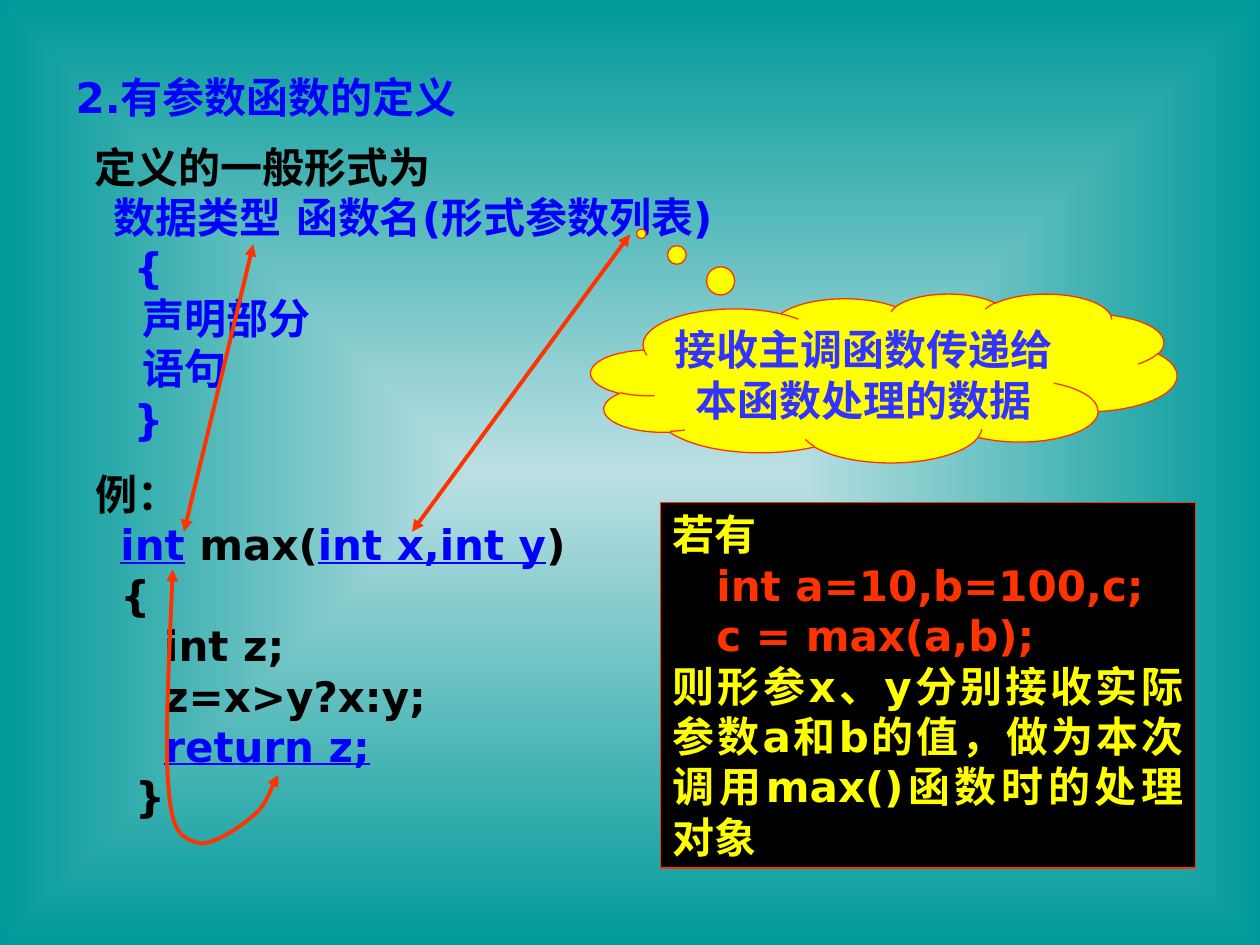
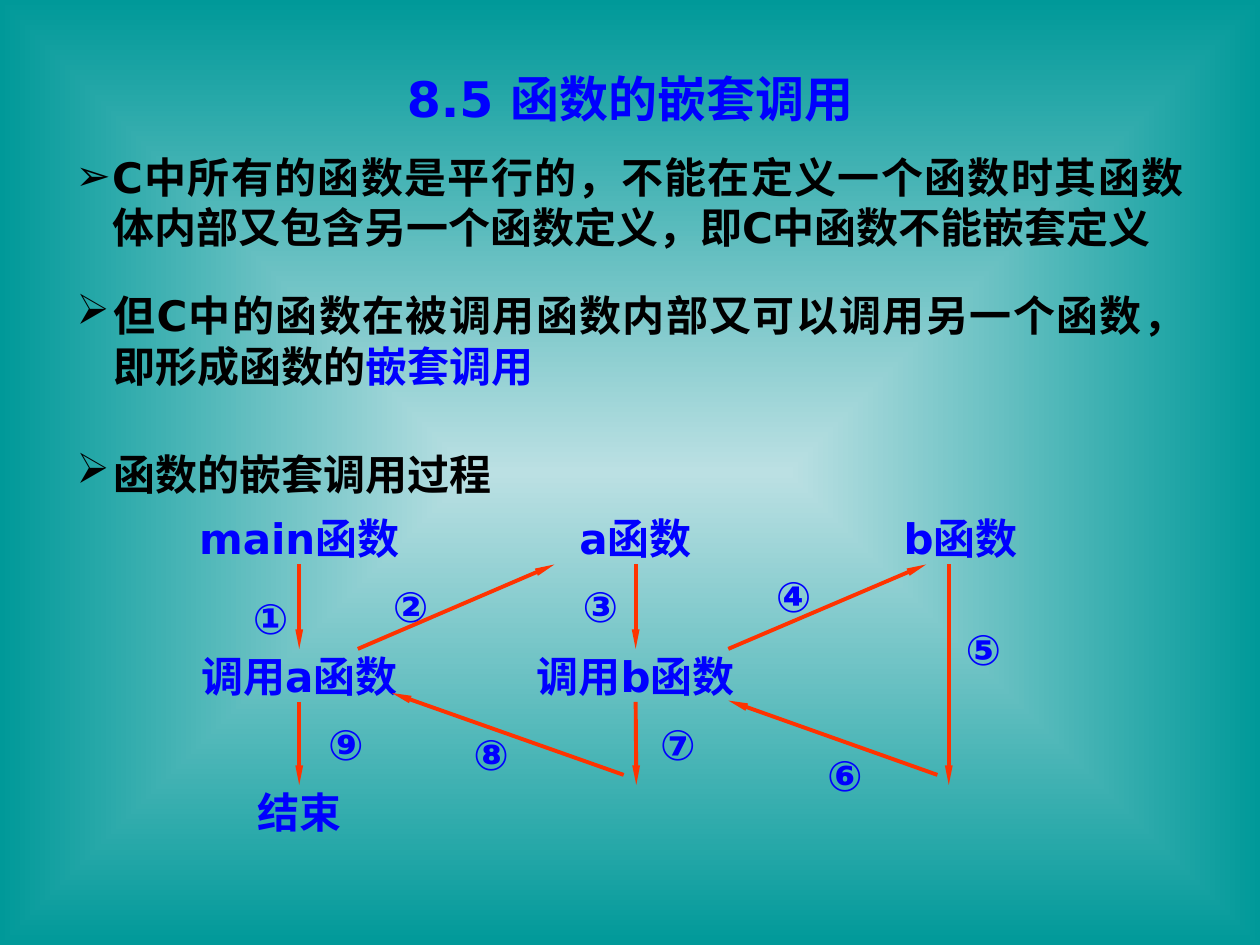
from lxml import etree
from pptx import Presentation
from pptx.dml.color import RGBColor
from pptx.enum.shapes import MSO_CONNECTOR, MSO_SHAPE
from pptx.enum.text import MSO_ANCHOR, MSO_AUTO_SIZE, PP_ALIGN
from pptx.oxml.ns import qn
from pptx.util import Inches, Pt

LEFT, CENTER, JUSTIFY = PP_ALIGN.LEFT, PP_ALIGN.CENTER, PP_ALIGN.JUSTIFY
TOP, MIDDLE = MSO_ANCHOR.TOP, MSO_ANCHOR.MIDDLE
STRAIGHT = MSO_CONNECTOR.STRAIGHT
FONT = "DejaVu Sans"
BLACK, BLUE, VIOLET = "000000", "0000FF", "3333FF"
RED, YELLOW = "FF3300", "FFFF00"
rgb = RGBColor.from_string


def write(sp, paras, size=24, anchor=TOP, wrap=True, bullet=False):
    """Fill sp; each paragraph is (indent, align, [(text, colour, underline)])."""
    tf = sp.text_frame
    tf.auto_size = MSO_AUTO_SIZE.NONE
    tf.word_wrap = wrap
    tf.vertical_anchor = anchor
    for i, (indent, align, runs) in enumerate(paras):
        p = tf.paragraphs[0] if i == 0 else tf.add_paragraph()
        p.alignment = align
        p.space_before = Pt(0)
        pPr = p._p.get_or_add_pPr()
        pPr.set("marL", str(Inches(indent)))
        pPr.set("indent", str(Inches(-indent if bullet else 0)))
        if bullet:
            clr = etree.SubElement(pPr, qn("a:buClr"))
            etree.SubElement(clr, qn("a:srgbClr"), val=BLACK)
            etree.SubElement(pPr, qn("a:buChar"), char="➢")
        else:
            etree.SubElement(pPr, qn("a:buNone"))
        for text, color, underline in runs:
            r = p.add_run()
            r.text = text
            r.font.name = FONT
            r.font.size = Pt(size)
            r.font.bold = True
            r.font.underline = underline
            r.font.color.rgb = rgb(color)
            etree.SubElement(r._r.get_or_add_rPr(), qn("a:ea"), typeface=FONT)


def style_arrow(sp, ends, width="med", length="med"):
    """Red line without shadow, with a triangle at each of the ends."""
    sp.line.color.rgb = rgb(RED)
    sp.line.width = Pt(2.25)
    spPr = sp._element.spPr
    ln = spPr.find(qn("a:ln"))
    for end in ends:
        etree.SubElement(ln, qn("a:" + end), type="triangle", w=width, len=length)
    if spPr.find(qn("a:effectLst")) is None:
        etree.SubElement(spPr, qn("a:effectLst"))


prs = Presentation()
prs.slide_width, prs.slide_height = Inches(10), Inches(7.5)

# Shared background: gradient from the centre outwards
master = prs.slide_master
fill = master.background.fill
fill.gradient()
for stop, color in zip(fill.gradient_stops, ("BBE0E3", "009999")):
    stop.color.rgb = rgb(color)
grad = master.element.find(".//" + qn("a:gradFill"))
grad.remove(grad.find(qn("a:lin")))
rect = etree.SubElement(grad, qn("a:path"), path="rect")
etree.SubElement(rect, qn("a:fillToRect"), l="50000", t="50000", r="50000", b="50000")

# Titles and body placeholders
slides = []
for title, size, align, title_y, title_h, body_y, body_h in (
    ("2.有参数函数的定义", 24, LEFT, 0.52, 0.5, 1.07, 2.5),
    ("8.5 函数的嵌套调用", 28, CENTER, 0.49, 0.57, 1.15, 0.9),
):
    s = prs.slides.add_slide(prs.slide_layouts[1])
    for sp, y, h in ((s.shapes.title, title_y, title_h),
                     (s.placeholders[1], body_y, body_h)):
        sp.left, sp.top = Inches(0.5), Inches(y)
        sp.width, sp.height = Inches(9), Inches(h)
    write(s.shapes.title, [(0, align, [(title, BLUE, False)])], size, MIDDLE)
    slides.append(s)

# Slide 1: general form of a definition
s = slides[0]
write(s.placeholders[1], [
    (indent, LEFT, [(text, color, False)]) for indent, text, color in (
        (0.15, "定义的一般形式为", BLACK),
        (0.3, "数据类型 函数名(形式参数列表)", BLUE),
        (0.46, "{", BLUE),
        (0.53, "声明部分", BLUE),
        (0.53, "语句", BLUE),
        (0.46, "}", BLUE),
    )])

# Callout on the parameter list
cloud = s.shapes.add_shape(MSO_SHAPE.CLOUD_CALLOUT, Inches(4.69), Inches(2.33),
                           Inches(4.65), Inches(1.34))
cloud.adjustments[0], cloud.adjustments[1] = -0.414, -0.854
cloud.text_frame.margin_left = cloud.text_frame.margin_right = 0
write(cloud, [(0, CENTER, [("接收主调函数传递给本函数处理的数据", VIOLET, False)])],
      anchor=MIDDLE)

# Example function
example = s.shapes.add_textbox(Inches(0.51), Inches(3.67), Inches(4.17), Inches(2.9))
write(example, [
    (0.15, LEFT, [("例：", BLACK, False)]),
    (0, LEFT, [("   ", BLACK, False), ("int", BLUE, True), (" max(", BLACK, False),
               ("int x,int y", BLUE, True), (")", BLACK, False)]),
    (0, LEFT, [("   {", BLACK, False)]),
    (0, LEFT, [("      int z;", BLACK, False)]),
    (0, LEFT, [("      z=x>y?x:y;", BLACK, False)]),
    (0, LEFT, [("      ", BLACK, False), ("return z;", BLUE, True)]),
    (0, LEFT, [("    }", BLACK, False)]),
])

# Example call
call = s.shapes.add_shape(MSO_SHAPE.RECTANGLE, Inches(5.24), Inches(3.99),
                          Inches(4.25), Inches(2.9))
write(call, [
    (0, LEFT, [("若有", YELLOW, False)]),
    (0, LEFT, [("   int a=10,b=100,c;", RED, False)]),
    (0, LEFT, [("   c = max(a,b);", RED, False)]),
    (0, JUSTIFY, [("则形参x、y分别接收实际参数a和b的值，做为本次调用max()函数时的处理对象",
                   YELLOW, False)]),
])
for sp, color in ((cloud, YELLOW), (call, BLACK)):
    sp.shadow.inherit = False
    sp.fill.solid()
    sp.fill.fore_color.rgb = rgb(color)
    sp.line.color.rgb = rgb(RED)
    sp.line.width = Pt(0.75)

# Double arrows between the form and the example
for x1, y1, x2, y2 in ((3.27, 4.22, 5, 1.86), (1.46, 4.22, 2.01, 1.94)):
    arrow = s.shapes.add_connector(STRAIGHT, Inches(x1), Inches(y1),
                                   Inches(x2), Inches(y2))
    style_arrow(arrow, ("headEnd", "tailEnd"))

# Curved arrow from the return statement to the return type
curve = [(2.21, 6.15), (2.17, 6.21), (2.1, 6.41), (1.99, 6.49), (1.91, 6.56),
         (1.68, 6.72), (1.57, 6.69), (1.46, 6.65), (1.37, 6.64), (1.34, 6.28),
         (1.3, 5.92), (1.36, 4.89), (1.37, 4.52)]
points = [(Inches(x), Inches(y)) for x, y in curve]
builder = s.shapes.build_freeform(*points[0])
builder.add_line_segments(points[1:], close=False)
sp = builder.convert_to_shape()
outline = sp._element.find(".//" + qn("a:path"))
steps = outline.findall(qn("a:lnTo"))
for i in range(0, len(steps), 3):  # every three points make one Bézier curve
    bezier = etree.SubElement(outline, qn("a:cubicBezTo"))
    for step in steps[i:i + 3]:
        bezier.append(step[0])
        outline.remove(step)
sp.fill.background()
sp.shadow.inherit = False
style_arrow(sp, ("headEnd", "tailEnd"))

# Slide 2: bulleted statements
s = slides[1]
second = s.shapes.add_textbox(Inches(0.51), Inches(2.25), Inches(9), Inches(0.9))
third = s.shapes.add_textbox(Inches(0.51), Inches(3.51), Inches(9), Inches(0.5))
for sp, align, runs in (
    (s.placeholders[1], JUSTIFY, [
        ("C中所有的函数是平行的，不能在定义一个函数时其函数体内部又包含另一个函数定义，"
         "即C中函数不能嵌套定义", BLACK, False)]),
    (second, JUSTIFY, [
        ("但C中的函数在被调用函数内部又可以调用另一个函数，即形成函数的", BLACK, False),
        ("嵌套调用", BLUE, False)]),
    (third, LEFT, [("函数的嵌套调用过程", BLACK, False)]),
):
    write(sp, [(0.29, align, runs)], bullet=True)

# Functions in the call diagram
boxes = {}
for text, x, y in (
    ("main函数", 1.64, 4.06), ("a函数", 4.31, 4.06), ("b函数", 6.89, 4.06),
    ("调用a函数", 1.64, 5.15), ("调用b函数", 4.31, 5.15), ("结束", 1.64, 6.23),
):
    sp = s.shapes.add_textbox(Inches(x), Inches(y), Inches(1.47), Inches(0.42))
    write(sp, [(0, CENTER, [(text, BLUE, False)])], anchor=MIDDLE, wrap=False)
    boxes[text] = sp

# Arrows: ends, then the boxes joined at bottom and top
for x1, y1, x2, y2, above, below in (
    (2.38, 4.48, 2.38, 5.15, "main函数", "调用a函数"),
    (2.84, 5.15, 4.4, 4.48, None, None),
    (5.05, 4.48, 5.05, 5.15, "a函数", "调用b函数"),
    (5.78, 5.15, 7.35, 4.48, None, None),
    (7.53, 4.48, 7.53, 6.23, None, None),
    (7.44, 6.15, 5.78, 5.56, None, None),
    (5.05, 5.56, 5.05, 6.23, "调用b函数", None),
    (4.95, 6.15, 3.11, 5.5, None, None),
    (2.38, 5.56, 2.38, 6.23, "调用a函数", "结束"),
):
    arrow = s.shapes.add_connector(STRAIGHT, Inches(x1), Inches(y1),
                                   Inches(x2), Inches(y2))
    if above:
        arrow.begin_connect(boxes[above], 2)
    if below:
        arrow.end_connect(boxes[below], 0)
    style_arrow(arrow, ("tailEnd",), "sm", "lg")

# Step numbers
for number, x, y, w in (
    ("①", 1.91, 4.65, 0.46), ("②", 3.02, 4.56, 0.46), ("③", 4.49, 4.56, 0.55),
    ("④", 6.06, 4.48, 0.46), ("⑤", 7.53, 4.9, 0.55), ("⑥", 6.43, 5.9, 0.55),
    ("⑦", 5.14, 5.65, 0.46), ("⑧", 3.66, 5.73, 0.46), ("⑨", 2.47, 5.65, 0.55),
):
    sp = s.shapes.add_textbox(Inches(x), Inches(y), Inches(w), Inches(0.5))
    write(sp, [(0, CENTER, [(number, BLUE, False)])])

prs.save("out.pptx")
